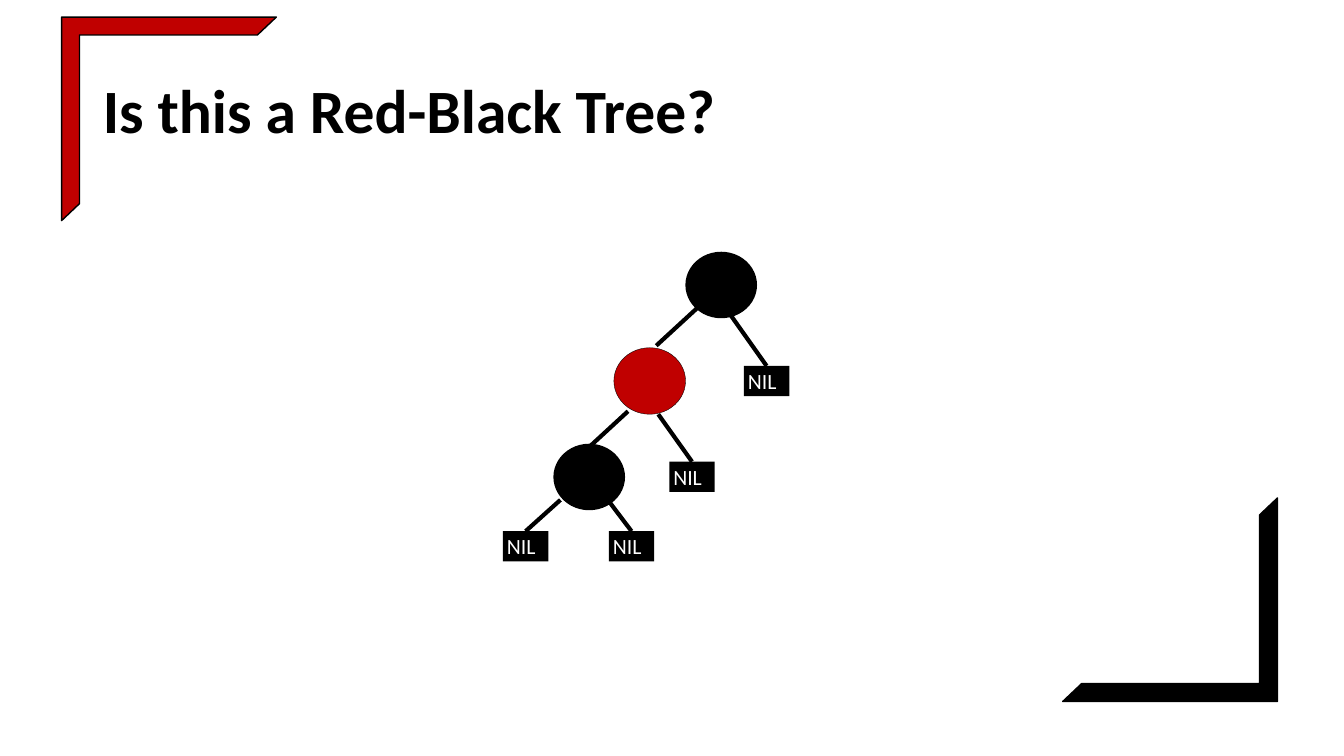
import pptx
import pptx.util
import pptx.dml.color
import pptx.enum.shapes
import pptx.enum.text
import pptx.oxml.ns
from lxml import etree

Pt = pptx.util.Pt
RGB = pptx.dml.color.RGBColor
KIND = pptx.enum.shapes.MSO_SHAPE
ALIGN = pptx.enum.text.PP_ALIGN
MIDDLE = pptx.enum.text.MSO_ANCHOR.MIDDLE

BLACK = RGB(0x00, 0x00, 0x00)
RED = RGB(0xC0, 0x00, 0x00)
WHITE = RGB(0xFF, 0xFF, 0xFF)

WIDE = pptx.util.Inches(13.33)
HIGH = pptx.util.Inches(7.5)
PAD = pptx.util.Inches(0.04)

# Places and sizes are percent of the slide's width and height.
NODE = (5.33, 8.8)
LEAF = (3.38, 4)
FRAME = (15.98, 26.93)
TOP, STEP = 37.7, 12.7

TITLE = {"name": "Calibri", "size": Pt(44), "bold": True}
LABEL = {"name": "Calibri", "size": Pt(15.5), "bold": False}

# Each node: centre x, colour, then the start of its left and right edge.
NODES = [
    (53.66, BLACK, (52.5, 39.73), (54.38, 41.73)),
    (48.34, RED, (46.73, 54.4), (48.98, 54.8)),
    (43.84, BLACK, (41.7, 66.13), (44.1, 63.47)),
]
# Left edges of the upper nodes end just above the next node.
JOINS = [(48.83, 45.73), (43.88, 59.07)]
# Centres of the right leaf of each node.
RIGHTS = [(57.04, 50.4), (51.49, 63.07), (46.99, 72.27)]
LAST = (39.11, 72.27)


def place(x, y):
    return round(WIDE * x / 100), round(HIGH * y / 100)


def style(font, color, form):
    for key, value in form.items():
        setattr(font, key, value)
    font.color.rgb = color


def shape(slide, kind, mid, size, fill, line=None):
    """Add a filled shape centred on mid, outlined in black if line is given."""
    left, top = mid[0] - size[0] / 2, mid[1] - size[1] / 2
    item = slide.shapes.add_shape(kind, *place(left, top), *place(*size))
    item.shadow.inherit = False
    item.fill.solid()
    item.fill.fore_color.rgb = fill
    if line:
        item.line.color.rgb = BLACK
        item.line.width = Pt(line)
    else:
        item.line.fill.background()
    return item


def frame(slide, mid, fill, turn):
    item = shape(slide, KIND.HALF_FRAME, mid, FRAME, fill, 1)
    item.rotation = turn
    for i in range(2):
        item.adjustments[i] = 0.088


def leaf(slide, mid):
    item = shape(slide, KIND.RECTANGLE, mid, LEAF, BLACK)
    text = item.text_frame
    for side in ("left", "top", "right", "bottom"):
        setattr(text, "margin_" + side, PAD)
    text.vertical_anchor = MIDDLE
    para = text.paragraphs[0]
    para.text = "NIL"
    para.alignment = ALIGN.LEFT
    style(para.font, WHITE, LABEL)
    return item


def edge(slide, start, end, box=None):
    """Draw a tree edge, joined to the top of box if one is given."""
    line = slide.shapes.add_connector(
        pptx.enum.shapes.MSO_CONNECTOR.STRAIGHT, *place(*start), *place(*end))
    line.line.color.rgb = BLACK
    line.line.width = Pt(3)
    props = line._element.spPr
    etree.SubElement(props, pptx.oxml.ns.qn("a:effectLst"))
    if box is not None:
        line.end_connect(box, 0)


def head(slide, words):
    title = slide.shapes.title
    title.left, title.top = place(6.9, 5.33)
    title.width, title.height = place(86.27, 19.33)
    title.text_frame.vertical_anchor = MIDDLE
    para = title.text_frame.paragraphs[0]
    para.text = words
    para.alignment = ALIGN.LEFT
    para.line_spacing = 0.9
    style(para.font, BLACK, TITLE)


def tree(slide):
    for i, (x, color, _, _) in enumerate(NODES):
        line = 0.25 if color == RED else None
        shape(slide, KIND.OVAL, (x, TOP + i * STEP), NODE, color, line)
    for (_, _, _, start), mid in zip(NODES, RIGHTS):
        edge(slide, start, mid, leaf(slide, mid))
    for (_, _, start, _), end in zip(NODES, JOINS):
        edge(slide, start, end)
    edge(slide, NODES[-1][2], LAST, leaf(slide, LAST))


def main():
    deck = pptx.Presentation()
    deck.slide_width, deck.slide_height = WIDE, HIGH
    slide = deck.slides.add_slide(deck.slide_layouts[5])
    frame(slide, (12.57, 15.73), RED, 0)
    frame(slide, (87.06, 79.33), BLACK, 180)
    head(slide, "Is this a Red-Black Tree?")
    tree(slide)
    deck.save("out.pptx")


if __name__ == "__main__":
    main()
